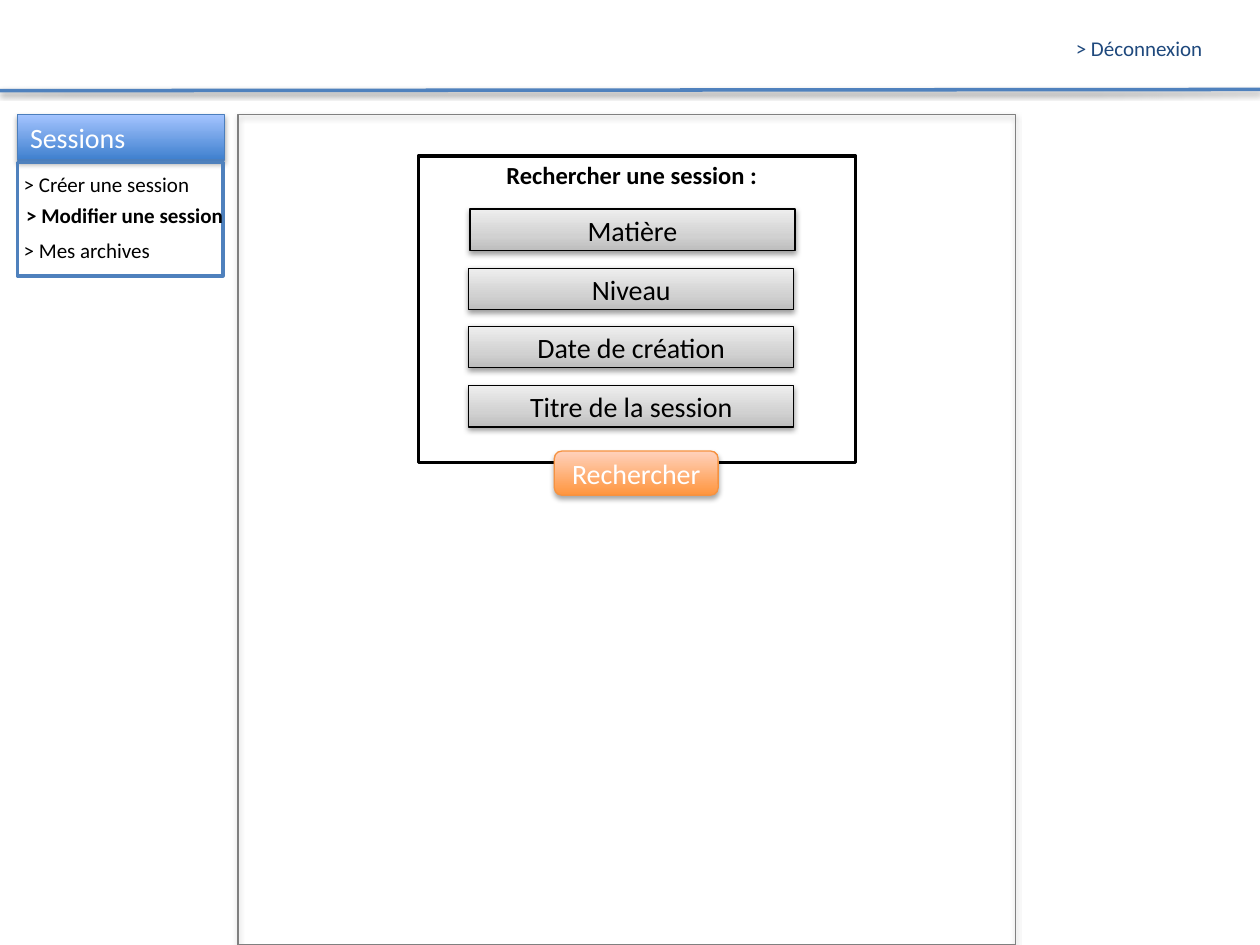
"""Build the session search page with its header, side menu and search form."""
from lxml.etree import SubElement
from pptx import Presentation
from pptx.dml.color import RGBColor
from pptx.enum.shapes import MSO_CONNECTOR, MSO_SHAPE
from pptx.enum.text import MSO_ANCHOR, PP_ALIGN
from pptx.oxml.ns import qn
from pptx.util import Inches, Pt

BLACK = RGBColor(0x00, 0x00, 0x00)
WHITE = RGBColor(0xFF, 0xFF, 0xFF)
GRAY = RGBColor(0x80, 0x80, 0x80)
NAVY = RGBColor(0x1F, 0x49, 0x7D)
BLUE = RGBColor(0x4F, 0x81, 0xBD)
BUTTON_BLUE = RGBColor(0x4B, 0x7E, 0xBC)
ORANGE = RGBColor(0xF6, 0x92, 0x40)
BLUE_STOPS = [(0, RGBColor(0x3F, 0x80, 0xCE)), (100, RGBColor(0xA4, 0xC4, 0xFF))]
GRAY_STOPS = [(0, RGBColor(0xBD, 0xBD, 0xBD)), (35, RGBColor(0xD1, 0xD1, 0xD1)),
              (100, RGBColor(0xEE, 0xEE, 0xEE))]
ORANGE_STOPS = [(0, RGBColor(0xFF, 0x95, 0x3E)), (100, RGBColor(0xFF, 0xD2, 0xBD))]
SOFT_SHADOW = (35, 1.8)
STRONG_SHADOW = (38, 1.6)


def add_text(shape, text, size, color, align=PP_ALIGN.LEFT, bold=False, anchor=MSO_ANCHOR.TOP):
    frame = shape.text_frame
    frame.word_wrap = True
    frame.vertical_anchor = anchor
    paragraph = frame.paragraphs[0]
    paragraph.text = text
    paragraph.alignment = align
    font = paragraph.font
    font.name, font.size, font.bold = "Calibri", Pt(size), bold
    font.color.rgb = color


def add_box(shapes, kind, place, line_color, line_width, fill=None, stops=None, shadow=None):
    if kind is MSO_CONNECTOR.STRAIGHT:
        shape = shapes.add_connector(kind, *map(Inches, place))
    else:
        shape = shapes.add_shape(kind, *map(Inches, place))
        if stops:
            shape.fill.gradient()
            shape.fill.gradient_angle = 90
            stop_list = shape._element.spPr.find(qn("a:gradFill")).find(qn("a:gsLst"))
            stop_list.clear()
            for position, color in stops:
                stop = SubElement(stop_list, qn("a:gs"), pos=str(position * 1000))
                SubElement(stop, qn("a:srgbClr"), val=str(color))
        elif fill is not None:
            shape.fill.solid()
            shape.fill.fore_color.rgb = fill
        else:
            shape.fill.background()
    shape.line.color.rgb = line_color
    shape.line.width = Pt(line_width)
    effects = SubElement(shape._element.spPr, qn("a:effectLst"))
    if shadow:
        opacity, distance = shadow
        outer = SubElement(effects, qn("a:outerShdw"), blurRad=str(int(Pt(3.1))),
                           dist=str(int(Pt(distance))), dir="5400000", rotWithShape="0")
        color = SubElement(outer, qn("a:srgbClr"), val=str(BLACK))
        SubElement(color, qn("a:alpha"), val=str(opacity * 1000))
    return shape


presentation = Presentation()
presentation.slide_width, presentation.slide_height = Inches(10), Inches(7.5)
slide = presentation.slides.add_slide(presentation.slide_layouts[6])

add_box(slide.shapes, MSO_CONNECTOR.STRAIGHT, (0, 0.72, 10, 0.71), BLUE, 2, shadow=STRONG_SHADOW)
add_box(slide.shapes, MSO_SHAPE.RECTANGLE, (1.89, 0.91, 6.17, 6.59), GRAY, 0.75, shadow=SOFT_SHADOW)
logout = slide.shapes.add_textbox(Inches(8.44), Inches(0.23), Inches(1.34), Inches(0.3))
add_text(logout, "> Déconnexion", 12, NAVY)

menu = slide.shapes.add_group_shape().shapes
heading = add_box(menu, MSO_SHAPE.RECTANGLE, (0.14, 0.91, 1.64, 0.36), BUTTON_BLUE, 0.75,
                  stops=BLUE_STOPS, shadow=SOFT_SHADOW)
add_text(heading, "Sessions", 16, WHITE, anchor=MSO_ANCHOR.MIDDLE)
add_box(menu, MSO_SHAPE.RECTANGLE, (0.14, 1.29, 1.63, 0.9), BLUE, 2)
for left, top, text, bold in [(0.09, 1.31, "> Créer une session", False),
                              (0.11, 1.56, "> Modifier une session", True),
                              (0.09, 1.84, "> Mes archives", False)]:
    entry = menu.add_textbox(Inches(left), Inches(top), Inches(1.86), Inches(0.3))
    add_text(entry, text, 12, BLACK, bold=bold)

form = slide.shapes.add_group_shape().shapes
add_box(form, MSO_SHAPE.RECTANGLE, (3.32, 1.24, 3.47, 2.43), BLACK, 2, fill=WHITE)
for left, top, text in [(3.73, 1.66, "Matière"), (3.72, 2.13, "Niveau"),
                        (3.72, 2.59, "Date de création"), (3.72, 3.06, "Titre de la session")]:
    field = add_box(form, MSO_SHAPE.RECTANGLE, (left, top, 2.58, 0.33), BLACK, 0.75,
                    stops=GRAY_STOPS, shadow=STRONG_SHADOW)
    add_text(field, text, 16, BLACK, PP_ALIGN.CENTER, anchor=MSO_ANCHOR.MIDDLE)
form_title = form.add_textbox(Inches(3.9), Inches(1.22), Inches(2.23), Inches(0.34))
add_text(form_title, "Rechercher une session :", 14, BLACK, PP_ALIGN.CENTER, bold=True)
search = add_box(form, MSO_SHAPE.ROUNDED_RECTANGLE, (4.4, 3.58, 1.3, 0.35), ORANGE, 0.75,
                 stops=ORANGE_STOPS, shadow=SOFT_SHADOW)
add_text(search, "Rechercher", 16, WHITE, PP_ALIGN.CENTER, anchor=MSO_ANCHOR.MIDDLE)

presentation.save("out.pptx")
